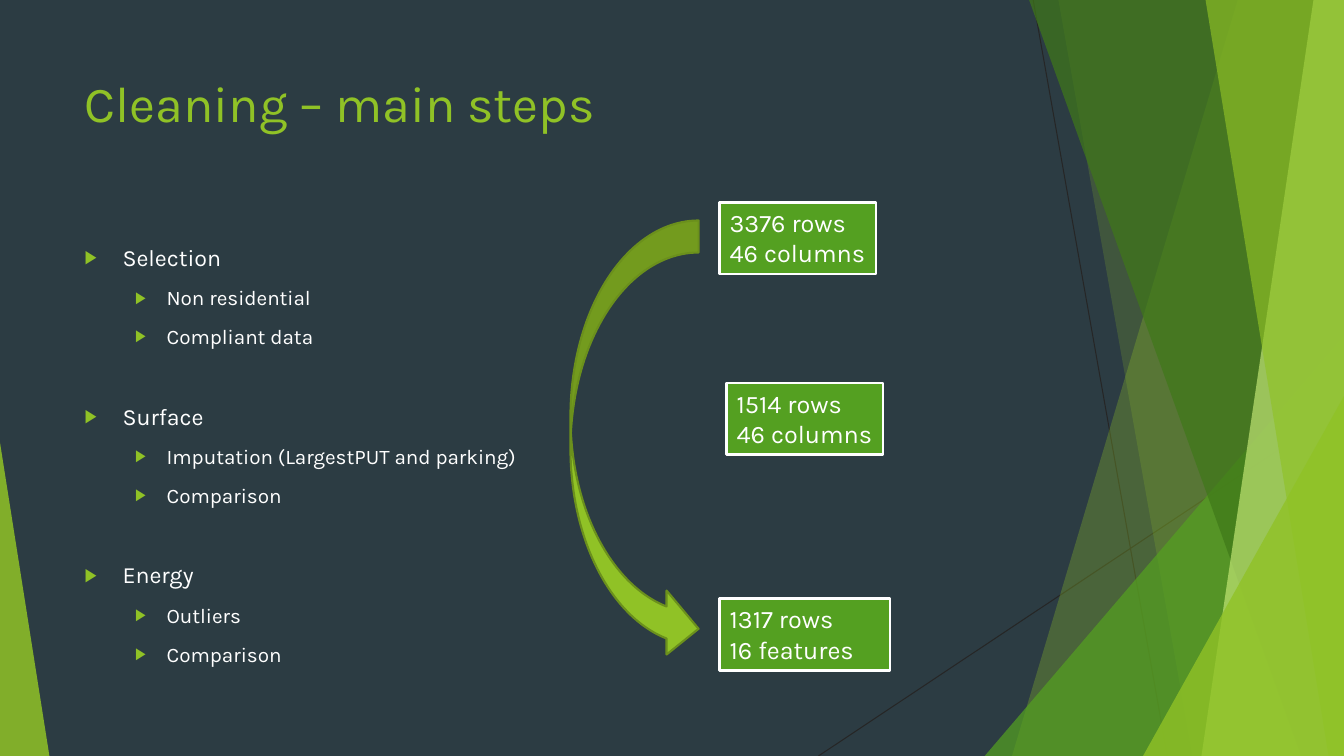
from lxml import etree
from pptx import Presentation
from pptx.dml.color import RGBColor
from pptx.enum.shapes import MSO_CONNECTOR, MSO_SHAPE
from pptx.enum.text import MSO_ANCHOR, MSO_AUTO_SIZE, PP_ALIGN
from pptx.oxml.ns import qn
from pptx.util import Pt

WIDTH, HEIGHT = 960, 540
FONT = "Karla"
SLATE, WHITE, CHARCOAL = "2C3C43", "FFFFFF", "262626"
LIME, GREEN, FOREST, PALE, OLIVE = "90C226", "54A021", "3F7819", "C0E474", "6B901C"

STEPS = [
    ("Selection", ["Non residential", "Compliant data"]),
    ("Surface", ["Imputation (LargestPUT and parking)", "Comparison"]),
    ("Energy", ["Outliers", "Comparison"]),
]
# Left, top, width and lines of each size box
SIZES = [
    (514.1, 144.7, 111.6, ["3376 rows", "46 columns"]),
    (519.1, 273.6, 111.6, ["1514 rows", "46 columns"]),
    (514.1, 427.7, 121.7, ["1317 rows", "16 features"]),
]


def color(value):
    return RGBColor.from_string(value)


def paint(shape, fill, opacity=100, line=None, line_width=1):
    shape.shadow.inherit = False
    shape.fill.solid()
    shape.fill.fore_color.rgb = color(fill)
    if opacity < 100:
        tint = shape.fill._xPr.find(qn("a:solidFill"))[0]
        etree.SubElement(tint, qn("a:alpha"), val=str(opacity * 1000))
    if line:
        shape.line.color.rgb = color(line)
        shape.line.width = Pt(line_width)
    else:
        shape.line.fill.background()


def style(para, size, ink):
    para.alignment = PP_ALIGN.LEFT
    para.font.size = Pt(size)
    para.font.name = FONT
    para.font.color.rgb = color(ink)


def add_bullet(para, margin, hanging):
    properties = para._p.get_or_add_pPr()
    properties.set("marL", str(Pt(margin)))
    properties.set("indent", str(-Pt(hanging)))
    tint = etree.SubElement(properties, qn("a:buClr"))
    etree.SubElement(tint, qn("a:srgbClr"), val=LIME)
    etree.SubElement(properties, qn("a:buSzPct"), val="80000")
    etree.SubElement(properties, qn("a:buChar"), char="▶")


def add_line(page, start, end):
    line = page.shapes.add_connector(
        MSO_CONNECTOR.STRAIGHT, *(Pt(value) for value in start + end))
    line.line.color.rgb = color(CHARCOAL)
    line.line.width = Pt(0.75)
    etree.SubElement(line._element.spPr, qn("a:effectLst"))


def add_band(page, top_x, bottom_x, fill, opacity):
    """Fill everything from a slanted edge to the right side of the slide."""
    builder = page.shapes.build_freeform(Pt(top_x), 0)
    builder.add_line_segments([(Pt(WIDTH), 0), (Pt(WIDTH), Pt(HEIGHT)),
                               (Pt(bottom_x), Pt(HEIGHT))])
    paint(builder.convert_to_shape(), fill, opacity)


def add_corner(page, left, top, width, peak, fill, opacity):
    """Triangle standing on the bottom edge of the slide."""
    corner = page.shapes.add_shape(MSO_SHAPE.ISOSCELES_TRIANGLE, Pt(left), Pt(top),
                                   Pt(width), Pt(HEIGHT - top))
    corner.adjustments[0] = peak
    paint(corner, fill, opacity)


def add_backdrop(page):
    page.background.fill.solid()
    page.background.fill.fore_color.rgb = color(SLATE)
    add_line(page, (738, 0), (833.8, HEIGHT))
    add_line(page, (WIDTH, 290.2), (584.6, HEIGHT))
    add_band(page, 884.2, 722.9, LIME, 30)
    add_band(page, 756, 851.8, LIME, 20)
    add_corner(page, 703.4, 239.8, 256.6, 1, GREEN, 72)
    add_band(page, 735.1, 929.5, FOREST, 70)
    add_band(page, 938.2, 858.2, PALE, 70)
    add_band(page, 861.1, 949, LIME, 65)
    add_corner(page, 816.5, 283, 143.5, 1, LIME, 80)
    add_corner(page, 0, 316.1, 35.3, 0, LIME, 85)


def place_holder(holder, left, top, width, height):
    """Move a placeholder in front of the backdrop and into its box."""
    holder._element.getparent().append(holder._element)
    holder.left, holder.top = Pt(left), Pt(top)
    holder.width, holder.height = Pt(width), Pt(height)
    frame = holder.text_frame
    frame.auto_size = MSO_AUTO_SIZE.NONE
    frame.vertical_anchor = MSO_ANCHOR.TOP
    frame.word_wrap = True
    return frame


def add_title(page, *box):
    frame = place_holder(page.shapes.title, *box)
    frame.text = "Cleaning – main steps"
    style(frame.paragraphs[0], 36, LIME)


def add_steps(page, *box):
    frame = place_holder(page.placeholders[1], *box)
    for number, (step, details) in enumerate(STEPS):
        para = frame.add_paragraph() if number else frame.paragraphs[0]
        para.text = step
        add_bullet(para, 27, 27)
        para.space_before = Pt(38 if number else 0)
        style(para, 16.6, WHITE)
        for detail in details:
            para = frame.add_paragraph()
            para.text = detail
            para.level = 1
            add_bullet(para, 58.5, 22.5)
            para.space_before = Pt(10)
            style(para, 14.8, WHITE)


def add_size_box(page, left, top, width, height, lines):
    box = page.shapes.add_shape(MSO_SHAPE.RECTANGLE, Pt(left), Pt(top),
                                Pt(width), Pt(height))
    paint(box, GREEN, line=WHITE, line_width=2)
    frame = box.text_frame
    frame.word_wrap = True
    frame.margin_right = 0
    frame.vertical_anchor = MSO_ANCHOR.TOP
    frame.text = "\n".join(lines)
    for para in frame.paragraphs:
        style(para, 18, WHITE)


def add_arrow(page, left, top, width, height):
    arrow = page.shapes.add_shape(MSO_SHAPE.CURVED_RIGHT_ARROW, Pt(left), Pt(top),
                                  Pt(width), Pt(height))
    paint(arrow, LIME, line=OLIVE, line_width=1.5)


def main():
    deck = Presentation()
    deck.slide_width, deck.slide_height = Pt(WIDTH), Pt(HEIGHT)
    page = deck.slides.add_slide(deck.slide_layouts[1])
    add_backdrop(page)
    add_title(page, 53.3, 48, 676.8, 104)
    add_steps(page, 53.3, 170, 676.8, 305.5)
    for left, top, width, lines in SIZES:
        add_size_box(page, left, top, width, 51, lines)
    add_arrow(page, 407.5, 157.5, 91.5, 314.5)
    deck.save("out.pptx")


if __name__ == "__main__":
    main()
